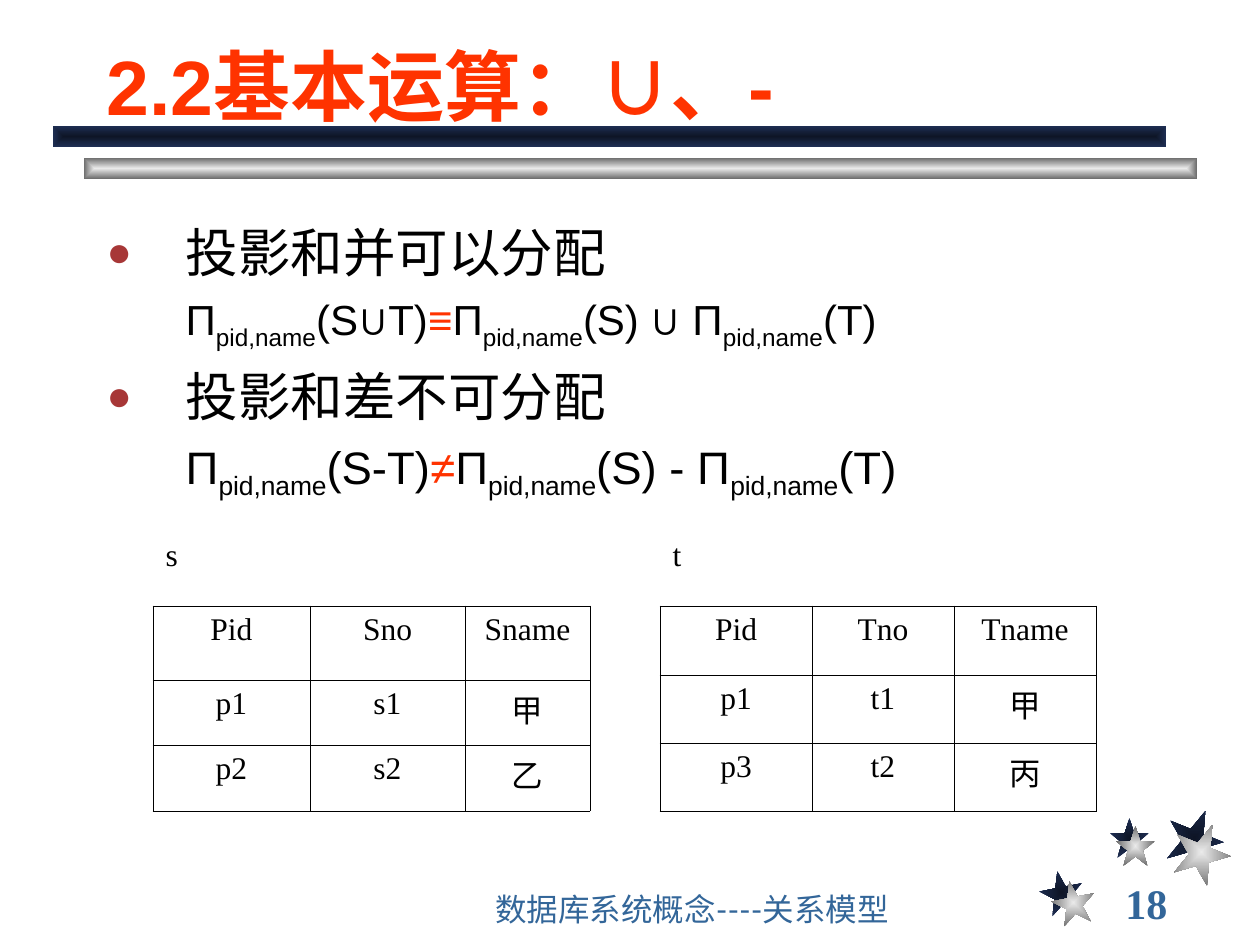
"""Build a lecture slide on distributing projection over union and difference."""
import pptx
import pptx.dml.color
import pptx.enum.text
import pptx.oxml.ns
import pptx.util
from lxml import etree

SCALE = 914400 / 126
COLORS = {
    "red": "FF3300", "black": "000000", "blue": "336699", "bullet": "A73737",
    "navy dark": "0E1526", "navy light": "1E2E53",
    "silver light": "EAEAEA", "silver dark": "6C6C6C",
}
NAVY = ("navy dark", "navy light")
SILVER = ("silver light", "silver dark")
STAR = [(0, 38), (38, 38), (50, 0), (62, 38), (100, 38),
        (69, 62), (81, 100), (50, 76), (19, 100), (31, 62)]
ANCHOR = pptx.enum.text.MSO_ANCHOR
ALIGN = pptx.enum.text.PP_ALIGN


def px(length):
    return pptx.util.Emu(round(length * SCALE))


def child(parent, tag, **attributes):
    return etree.SubElement(parent, pptx.oxml.ns.qn(tag), attributes)


class SlideBuilder:
    def __init__(self, slide):
        self.slide = slide
        self.shapes = slide.shapes

    def style(self, span, size, font="Arial", color="black", bold=False, sub=False):
        span.font.size = pptx.util.Pt(size)
        span.font.name = font
        span.font.bold = bold
        span.font.color.rgb = pptx.dml.color.RGBColor.from_string(COLORS[color])
        if sub:
            span.font._element.set("baseline", "-25000")

    def spans(self, para, pieces, **base):
        for text, changes in pieces:
            span = para.add_run()
            span.text = text
            self.style(span, **{**base, **changes})

    def place(self, box, left, top, width, height, anchor):
        box.left, box.top, box.width, box.height = map(px, (left, top, width, height))
        frame = box.text_frame
        frame.word_wrap = True
        frame.auto_size = pptx.enum.text.MSO_AUTO_SIZE.NONE
        frame.vertical_anchor = anchor
        return frame

    def title(self, pieces, bounds, **base):
        para = self.place(self.shapes.title, *bounds, ANCHOR.BOTTOM).paragraphs[0]
        para.alignment = ALIGN.LEFT
        self.spans(para, pieces, **base)

    def body(self, items, bounds):
        frame = self.place(self.slide.placeholders[1], *bounds, ANCHOR.TOP)
        for index, (pieces, size, bullet) in enumerate(items):
            para = frame.add_paragraph() if index else frame.paragraphs[0]
            para.space_before = pptx.util.Pt(size / 4 if index else 0)
            properties = para._p.get_or_add_pPr()
            properties.set("marL", str(px(79)))
            properties.set("indent", str(px(-79) if bullet else 0))
            if bullet:
                child(child(properties, "a:buClr"), "a:srgbClr", val=COLORS["bullet"])
                child(properties, "a:buSzPct", val="80000")
                child(properties, "a:buChar", char="●")
            else:
                child(properties, "a:buNone")
            self.spans(para, pieces, size=size)

    def label(self, text, bounds, anchor, **base):
        frame = self.place(self.shapes.add_textbox(0, 0, 0, 0), *bounds, anchor)
        frame.text = text
        self.style(frame.paragraphs[0].runs[0], **base)

    def glow(self, shape, colors):
        shape.shadow.inherit = False
        shape.line.fill.background()
        shape.fill.gradient()
        for stop, color in zip(shape.fill.gradient_stops, colors):
            stop.color.rgb = pptx.dml.color.RGBColor.from_string(COLORS[color])
        gradient = shape._element.spPr.find(pptx.oxml.ns.qn("a:gradFill"))
        gradient.remove(gradient.find(pptx.oxml.ns.qn("a:lin")))
        center = dict.fromkeys("ltrb", "50000")
        child(child(gradient, "a:path", path="rect"), "a:fillToRect", **center)

    def bar(self, left, top, colors):
        bounds = map(px, (left, top, 1113, 21))
        self.glow(self.shapes.add_shape(1, *bounds), colors)

    def star(self, left, top, width, height, turn, colors):
        scale = (width * SCALE / 100, height * SCALE / 100)
        outline = self.shapes.build_freeform(*STAR[0], scale=scale)
        outline.add_line_segments(STAR[1:], close=True)
        shape = outline.convert_to_shape(px(left), px(top))
        shape.rotation = turn
        self.glow(shape, colors)

    def borders(self, cell, visible):
        properties = cell._tc.get_or_add_tcPr()
        for side in "LRTB":
            line = child(properties, f"a:ln{side}", w=str(pptx.util.Pt(0.45)))
            if side in visible:
                child(child(line, "a:solidFill"), "a:srgbClr", val=COLORS["black"])
            else:
                child(line, "a:noFill")

    def table(self, left, top, columns, heights, rows, merges=()):
        bounds = map(px, (left, top, sum(columns), sum(heights)))
        table = self.shapes.add_table(len(rows), len(columns), *bounds).table
        table.first_row = table.horz_banding = False
        for column, width in zip(table.columns, columns):
            column.width = px(width)
        for row, height in zip(table.rows, heights):
            row.height = px(height)
        for row_index, texts in enumerate(rows):
            for column_index, text in enumerate(texts):
                cell = table.cell(row_index, column_index)
                self.borders(cell, "LRTB" if row_index else "B")
                cell.fill.background()
                if text:
                    cell.text = text
                    para = cell.text_frame.paragraphs[0]
                    para.alignment = ALIGN.CENTER if row_index else ALIGN.LEFT
                    self.style(para.runs[0], 18, "Times New Roman")
        for row_index, start in merges:
            table.cell(row_index, start).merge(table.cell(row_index, start + 1))


def formula(left, relation, joiner, **emphasis):
    index = ("pid,name", {"sub": True})
    return [("Π", {}), index, (left, {}), (relation, {"color": "red", **emphasis}),
            ("Π", {}), index, (f"(S) {joiner} Π", {}), index, ("(T)", {})]


def main():
    deck = pptx.Presentation()
    deck.slide_width, deck.slide_height = px(1260), px(945)
    page = SlideBuilder(deck.slides.add_slide(deck.slide_layouts[1]))

    for left, top, width, height, turn, right, down in (
            (1040, 871, 43, 43, 349, 12, 10),
            (1110, 818, 39, 40, 0, 6, 8),
            (1166, 809, 57, 58, 22, 7, 14)):
        page.star(left, top, width, height, turn, NAVY)
        page.star(left + right, top + down, width, height, turn, SILVER)
    page.bar(84, 158, SILVER)
    page.bar(53, 126, NAVY)

    page.label("18", (1113, 882, 136, 42), ANCHOR.MIDDLE, size=24,
               font="Times New Roman", color="blue", bold=True)
    page.label("数据库系统概念----关系模型", (483, 892, 514, 42), ANCHOR.BOTTOM,
               size=18, font="Lato", color="blue")
    page.title([("2.2基本运算：", {}), ("∪", {"size": 41}), ("、-", {})],
               (94, 21, 1071, 116), size=44, color="red", bold=True)
    page.body([
        ([("投影和并可以分配", {})], 30, True),
        (formula("(S∪T)", "≡", "∪", bold=True), 24, False),
        ([("投影和差不可分配", {})], 30, True),
        (formula("(S-T)", "≠", "-"), 26, False),
    ], (94, 214, 1071, 348))

    page.table(660, 532, (152, 142, 142), (74, 69, 68, 69), [
        ("t", "", ""),
        ("Pid", "Tno", "Tname"),
        ("p1", "t1", "甲"),
        ("p3", "t2", "丙"),
    ])
    page.table(153, 532, (157, 30, 125, 125), (74, 74, 65, 66), [
        ("s", "", "", ""),
        ("Pid", "Sno", "", "Sname"),
        ("p1", "s1", "", "甲"),
        ("p2", "s2", "", "乙"),
    ], merges=((0, 0), (1, 1), (2, 1), (3, 1)))

    deck.save("out.pptx")


if __name__ == "__main__":
    main()
